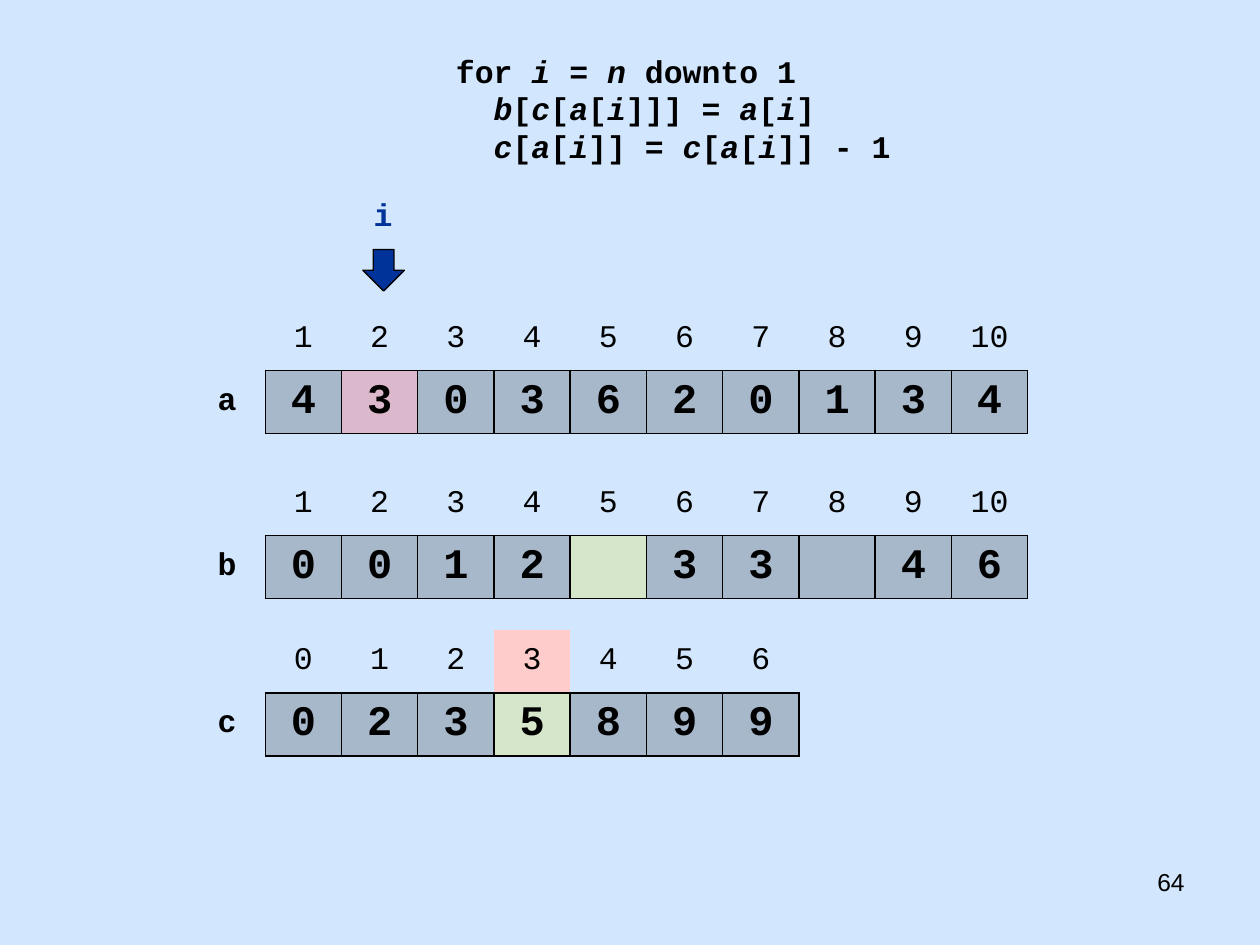
from dataclasses import dataclass

from lxml.etree import SubElement
from pptx import Presentation
from pptx.dml.color import RGBColor
from pptx.enum.shapes import MSO_SHAPE
from pptx.enum.text import MSO_ANCHOR, PP_ALIGN
from pptx.oxml.ns import qn
from pptx.util import Inches, Pt


@dataclass(frozen=True)
class Theme:
    """Colours, fonts and type sizes of the slide."""

    background: str = "D2E7FE"
    ink: str = "000000"
    outline: str = "010000"
    pointer: str = "003399"
    source: str = "FF0000"
    target: str = "E5E500"
    lookup: str = "FFCCCC"
    code_font: str = "Courier New"
    number_font: str = "Arial"
    body_size: int = 18
    value_size: int = 24
    number_size: int = 14
    cell_opacity: int = 20


NO_TABLE_STYLE = "{2D5ABB26-0587-4C30-8999-92F81FD0307C}"
COLUMN_WIDTH = 6.66 / 11
ROW_HEIGHT = 0.5
TABLE_LEFT = 1.5
CODE = (
    " for *i* = *n* downto 1",
    "   *b*[*c*[*a*[*i*]]] = *a*[*i*]",
    "   *c*[*a*[*i*]] = *c*[*a*[*i*]] - 1",
)


def write_text(frame, text, *, font, size, color, bold=False, align=PP_ALIGN.LEFT):
    """Write lines of text, with parts between asterisks in italics."""
    for number, line in enumerate(text.split("\n")):
        paragraph = frame.paragraphs[0] if number == 0 else frame.add_paragraph()
        paragraph.alignment = align
        for position, part in enumerate(line.split("*")):
            if not part:
                continue
            run = paragraph.add_run()
            run.text = part
            run.font.name = font
            run.font.size = Pt(size)
            run.font.bold = bold
            run.font.italic = position % 2 == 1
            run.font.color.rgb = RGBColor.from_string(color)


def set_border(cell, sides, color):
    """Draw one-point borders on the given sides of a cell."""
    properties = cell._tc.get_or_add_tcPr()
    for position, side in enumerate(sides):
        line = properties.makeelement(qn(f"a:ln{side}"), {"w": str(Pt(1))})
        fill = SubElement(line, qn("a:solidFill"))
        SubElement(fill, qn("a:srgbClr"), val=color)
        properties.insert(position, line)


def set_fill(cell, color, opacity=100):
    """Fill a cell with a colour of the given opacity in percent."""
    cell.fill.solid()
    cell.fill.fore_color.rgb = RGBColor.from_string(color)
    if opacity < 100:
        color_element = cell._tc.tcPr.find(f".//{qn('a:solidFill')}/{qn('a:srgbClr')}")
        for color_element in cell._tc.tcPr.find(qn("a:solidFill")):
            SubElement(color_element, qn("a:alpha"), val=str(opacity * 1000))


class SlideBuilder:
    """Adds styled elements to one slide."""

    def __init__(self, slide, theme):
        """Keep the slide and theme, and colour the background."""
        self.slide = slide
        self.theme = theme
        fill = slide.background.fill
        fill.solid()
        fill.fore_color.rgb = RGBColor.from_string(theme.background)

    def text(self, text, left, top, width, height, **style):
        """Add a wrapped text box."""
        shape = self.slide.shapes.add_textbox(
            Inches(left), Inches(top), Inches(width), Inches(height)
        )
        shape.text_frame.word_wrap = True
        base = {
            "font": self.theme.code_font,
            "size": self.theme.body_size,
            "color": self.theme.ink,
        }
        write_text(shape.text_frame, text, **{**base, **style})

    def array(self, name, top, indices, values, fills, lookup=None):
        """Add an array as a table of indices above values."""
        theme = self.theme
        columns = len(values) + 1
        table = self.slide.shapes.add_table(
            2, columns, Inches(TABLE_LEFT), Inches(top),
            Inches(COLUMN_WIDTH * columns), Inches(2 * ROW_HEIGHT),
        ).table
        table.first_row = False
        table.horz_banding = False
        table._tbl.tblPr.find(qn("a:tableStyleId")).text = NO_TABLE_STYLE
        for column in table.columns:
            column.width = Inches(COLUMN_WIDTH)
        for row, contents in enumerate((["", *indices], [name, *values])):
            table.rows[row].height = Inches(ROW_HEIGHT)
            for column, content in enumerate(contents):
                cell = table.cell(row, column)
                cell.vertical_anchor = MSO_ANCHOR.MIDDLE
                is_value = row == 1 and column > 0
                write_text(
                    cell.text_frame, str(content), font=theme.code_font,
                    size=theme.value_size if is_value else theme.body_size,
                    color=theme.ink, bold=row == 1, align=PP_ALIGN.CENTER,
                )
                if is_value:
                    set_fill(cell, fills.get(column, theme.ink), theme.cell_opacity)
                    set_border(cell, "LRTB", theme.ink)
                elif row == 0 and column == lookup:
                    set_fill(cell, theme.lookup)
                else:
                    cell.fill.background()
                if row == 0 and column > 0:
                    set_border(cell, "B", theme.ink)
                elif row == 1 and column == 0:
                    set_border(cell, "R", theme.ink)

    def down_arrow(self, left, top, size):
        """Add the arrow that points at the current index."""
        shape = self.slide.shapes.add_shape(
            MSO_SHAPE.DOWN_ARROW, Inches(left), Inches(top), Inches(size), Inches(size)
        )
        shape.shadow.inherit = False
        shape.fill.solid()
        shape.fill.fore_color.rgb = RGBColor.from_string(self.theme.pointer)
        shape.line.color.rgb = RGBColor.from_string(self.theme.outline)
        shape.line.width = Pt(0.75)


def main():
    """Build the counting sort slide."""
    presentation = Presentation()
    presentation.slide_width = Inches(10)
    presentation.slide_height = Inches(7.5)
    theme = Theme()
    slide = presentation.slides.add_slide(presentation.slide_layouts[6])
    builder = SlideBuilder(slide, theme)

    builder.text("64", 7.17, 6.83, 2.33, 0.52, font=theme.number_font,
                 size=theme.number_size, align=PP_ALIGN.RIGHT)
    builder.array("a", 2.44, range(1, 11), [4, 3, 0, 3, 6, 2, 0, 1, 3, 4],
                  {2: theme.source})
    builder.array("c", 5, range(7), [0, 2, 3, 5, 8, 9, 9],
                  {4: theme.target}, lookup=4)
    builder.text("\n".join(CODE), 3.37, 0.36, 4, 1.01, bold=True)
    builder.array("b", 3.75, range(1, 11), [0, 0, 1, 2, "", 3, 3, "", 4, 6],
                  {5: theme.target})
    builder.text("i", 2, 1.5, 2.08, 0.4, color=theme.pointer, bold=True,
                 align=PP_ALIGN.CENTER)
    builder.down_arrow(2.88, 1.98, 0.33)
    presentation.save("out.pptx")


if __name__ == "__main__":
    main()
